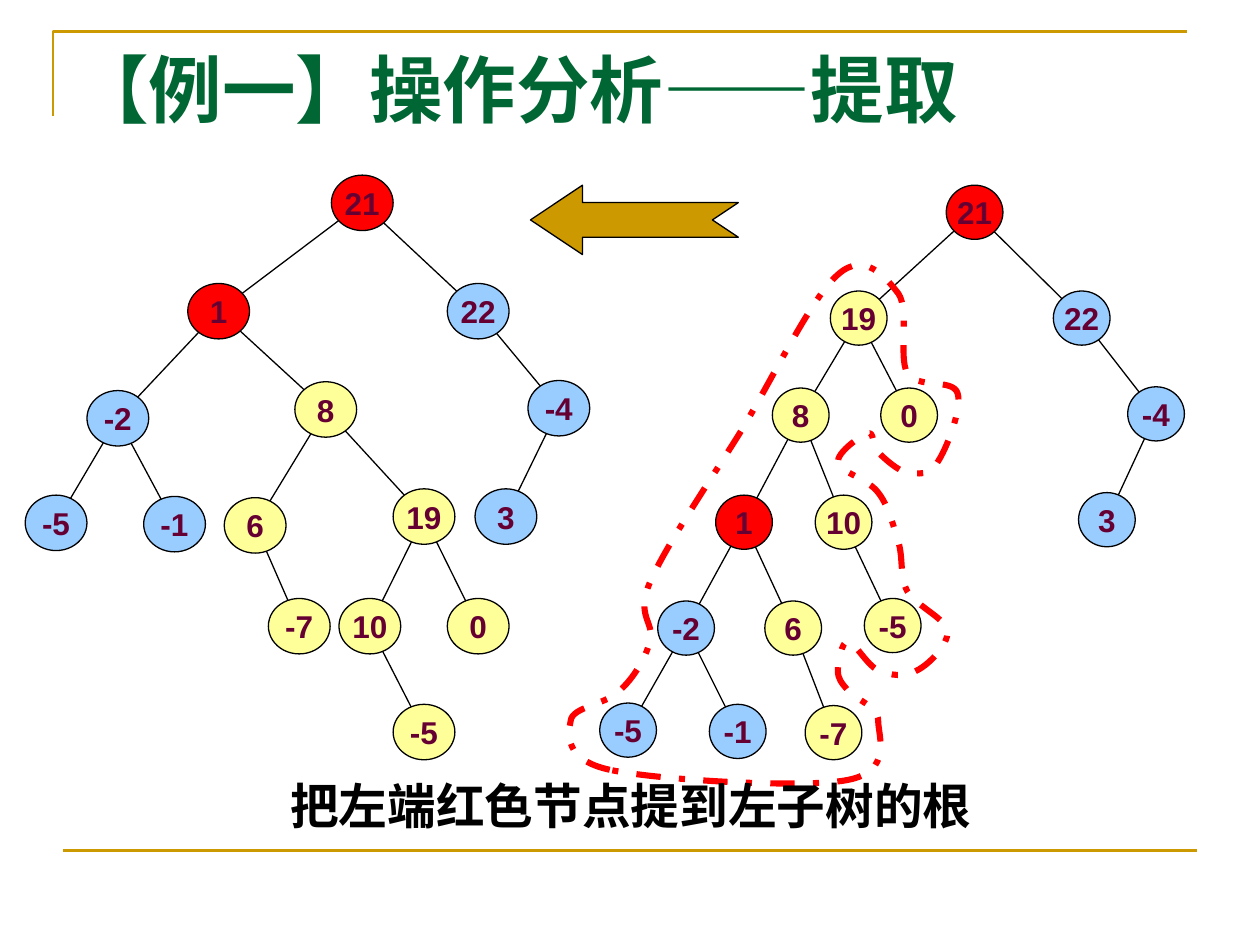
from dataclasses import dataclass
from typing import Any, Optional

import pptx
import pptx.dml.color
import pptx.enum.dml
import pptx.enum.shapes
import pptx.enum.text
import pptx.oxml
import pptx.oxml.ns
import pptx.util
from pptx.util import Inches

COLORS = {
    "gold": "CC9900", "green": "006633", "black": "000000", "plum": "660033",
    "red": "FF0000", "blue": "99CCFF", "yellow": "FFFF99",
}
SHAPE = pptx.enum.shapes.MSO_SHAPE
ALIGN = pptx.enum.text.PP_ALIGN
ANCHOR = pptx.enum.text.MSO_ANCHOR


@dataclass
class Node:
    label: str
    color: str
    left: float
    top: float
    parent: Optional[int] = None  # index of the parent in the tree's list


@dataclass
class Tree:
    width: float
    height: float
    nodes: list[Node]


BEFORE = Tree(0.45, 0.43, [
    Node("21", "red", 7.51, 1.47),
    Node("19", "yellow", 6.59, 2.31, 0),
    Node("22", "blue", 8.36, 2.31, 0),
    Node("8", "yellow", 6.13, 3.08, 1),
    Node("0", "yellow", 6.99, 3.08, 1),
    Node("-4", "blue", 8.95, 3.07, 2),
    Node("1", "red", 5.68, 3.93, 3),
    Node("10", "yellow", 6.47, 3.93, 3),
    Node("3", "blue", 8.56, 3.91, 5),
    Node("-2", "blue", 5.22, 4.77, 6),
    Node("6", "yellow", 6.07, 4.77, 6),
    Node("-5", "yellow", 6.86, 4.75, 7),
    Node("-5", "blue", 4.76, 5.58, 9),
    Node("-1", "blue", 5.63, 5.59, 9),
    Node("-7", "yellow", 6.39, 5.6, 10),
])
AFTER = Tree(0.49, 0.44, [
    Node("21", "red", 2.63, 1.39),
    Node("1", "red", 1.49, 2.25, 0),
    Node("22", "blue", 3.55, 2.25, 0),
    Node("-2", "blue", 0.69, 3.1, 1),
    Node("8", "yellow", 2.34, 3.03, 1),
    Node("-4", "blue", 4.19, 3.02, 2),
    Node("-5", "blue", 0.2, 3.93, 3),
    Node("-1", "blue", 1.14, 3.94, 3),
    Node("6", "yellow", 1.78, 3.95, 4),
    Node("19", "yellow", 3.12, 3.88, 4),
    Node("3", "blue", 3.77, 3.88, 5),
    Node("-7", "yellow", 2.13, 4.75, 8),
    Node("10", "yellow", 2.69, 4.75, 9),
    Node("0", "yellow", 3.55, 4.75, 9),
    Node("-5", "yellow", 3.12, 5.59, 12),
])
# Start point, then two control points and an end point for each curve.
SUBTREE_OUTLINE = [
    (4.84, 6.11),
    (4.47, 6.03), (4.51, 5.82), (4.53, 5.72),
    (4.54, 5.61), (4.82, 5.59), (4.92, 5.48),
    (5.03, 5.38), (5.12, 5.23), (5.16, 5.09),
    (5.2, 4.94), (5.04, 4.89), (5.16, 4.62),
    (5.28, 4.34), (5.62, 3.84), (5.87, 3.44),
    (6.12, 3.03), (6.44, 2.36), (6.65, 2.18),
    (6.86, 1.99), (7.03, 2.2), (7.13, 2.33),
    (7.22, 2.46), (7.13, 2.83), (7.2, 2.96),
    (7.28, 3.09), (7.56, 3), (7.6, 3.12),
    (7.64, 3.24), (7.51, 3.57), (7.44, 3.67),
    (7.38, 3.78), (7.28, 3.76), (7.2, 3.75),
    (7.13, 3.74), (7.02, 3.64), (6.97, 3.59),
    (6.92, 3.54), (6.94, 3.42), (6.89, 3.44),
    (6.84, 3.45), (6.64, 3.59), (6.65, 3.67),
    (6.67, 3.75), (6.89, 3.8), (6.97, 3.91),
    (7.05, 4.01), (7.09, 4.17), (7.13, 4.3),
    (7.17, 4.43), (7.14, 4.58), (7.2, 4.69),
    (7.27, 4.81), (7.51, 4.91), (7.52, 5.01),
    (7.53, 5.11), (7.38, 5.27), (7.28, 5.32),
    (7.19, 5.38), (7.06, 5.36), (6.97, 5.32),
    (6.88, 5.28), (6.78, 5.09), (6.73, 5.09),
    (6.68, 5.09), (6.65, 5.26), (6.65, 5.32),
    (6.65, 5.39), (6.68, 5.42), (6.73, 5.48),
    (6.78, 5.55), (6.97, 5.6), (6.97, 5.72),
    (6.97, 5.84), (7.09, 6.12), (6.73, 6.19),
    (6.38, 6.26), (5.21, 6.19), (4.84, 6.11),
]


def rgb(name: str) -> pptx.dml.color.RGBColor:
    return pptx.dml.color.RGBColor.from_string(COLORS[name])


def set_line(sp: Any, color: str, width: float) -> None:
    sp.line.color.rgb = rgb(color)
    sp.line.width = pptx.util.Pt(width)


def set_look(sp: Any, fill: Optional[str], line: str, width: float) -> None:
    sp.shadow.inherit = False
    if fill:
        sp.fill.solid()
        sp.fill.fore_color.rgb = rgb(fill)
    else:
        sp.fill.background()
    set_line(sp, line, width)


def add_line(shapes: Any, start: tuple, end: tuple, color: str, width: float) -> None:
    points = [Inches(v) for v in (*start, *end)]
    cx = shapes.add_connector(pptx.enum.shapes.MSO_CONNECTOR.STRAIGHT, *points)
    set_line(cx, color, width)
    cx._element.spPr.append(pptx.oxml.parse_xml(
        f'<a:effectLst {pptx.oxml.ns.nsdecls("a")}/>'))


def add_outline(shapes: Any, points: list, color: str, width: float, close: bool) -> Any:
    start, *rest = [(Inches(x), Inches(y)) for x, y in points]
    builder = shapes.build_freeform(*start)
    builder.add_line_segments(rest, close=close)
    sp = builder.convert_to_shape()
    set_look(sp, None, color, width)
    return sp


def bend(sp: Any) -> None:
    """Turn each three line segments of a freeform into one cubic curve."""
    qn = pptx.oxml.ns.qn
    segments = list(sp._element.iter(qn("a:lnTo")))
    for first in range(0, len(segments), 3):
        curve = pptx.oxml.parse_xml(f'<a:cubicBezTo {pptx.oxml.ns.nsdecls("a")}/>')
        segments[first].addprevious(curve)
        for segment in segments[first:first + 3]:
            curve.append(segment[0])
            segment.getparent().remove(segment)


def set_text(sp: Any, text: str, size: float, color: str, font: str = "Arial",
             wrap: bool = True, align: Any = ALIGN.CENTER, anchor: Any = ANCHOR.TOP) -> None:
    tf = sp.text_frame
    p = tf.paragraphs[0]
    r = p.add_run()
    formats = [
        (tf, {"word_wrap": wrap, "vertical_anchor": anchor}),
        (p, {"alignment": align}),
        (r, {"text": text}),
        (r.font, {"size": pptx.util.Pt(size), "name": font, "bold": True}),
        (r.font.color, {"rgb": rgb(color)}),
    ]
    for target, values in formats:
        for name, value in values.items():
            setattr(target, name, value)


def add_text(shapes: Any, box: tuple, *args: Any, **kwargs: Any) -> None:
    set_text(shapes.add_textbox(*map(Inches, box)), *args, **kwargs)


def add_tree(shapes: Any, tree: Tree) -> Any:
    """Draw edges between node centres, then the nodes over them."""
    group = shapes.add_group_shape().shapes
    centers = [(n.left + tree.width / 2, n.top + tree.height / 2) for n in tree.nodes]
    for node, center in zip(tree.nodes, centers):
        if node.parent is not None:
            add_line(group, centers[node.parent], center, "black", 0.75)
    for node in tree.nodes:
        box = (node.left, node.top, tree.width, tree.height)
        sp = group.add_shape(SHAPE.OVAL, *map(Inches, box))
        set_look(sp, node.color, "black", 0.75)
        set_text(sp, node.label, 18, "plum", wrap=False, anchor=ANCHOR.MIDDLE)
    return group


def main() -> None:
    prs = pptx.Presentation()
    prs.slide_width, prs.slide_height = Inches(10), Inches(7.5)
    shapes = prs.slides.add_slide(prs.slide_layouts[6]).shapes

    add_outline(shapes, [(0.42, 0.92), (0.42, 0.25), (9.42, 0.25)], "gold", 1.5, False)
    add_line(shapes, (0.5, 6.75), (9.5, 6.75), "gold", 1.5)

    before = add_tree(shapes, BEFORE)
    outline = add_outline(before, SUBTREE_OUTLINE, "red", 3.5, True)
    outline.line.dash_style = pptx.enum.dml.MSO_LINE.DASH_DOT
    bend(outline)

    arrow = shapes.add_shape(SHAPE.NOTCHED_RIGHT_ARROW, *map(Inches, (4.21, 1.47, 1.65, 0.55)))
    arrow.rotation = 180
    arrow.adjustments[1] = 0.75
    set_look(arrow, "gold", "black", 0.75)

    add_tree(shapes, AFTER)
    add_text(shapes, (0.5, 0.3, 9, 1.25), "【例一】操作分析——提取", 42, "green",
             font="Times New Roman", align=ALIGN.LEFT)
    add_text(shapes, (0.51, 6.11, 9, 0.59), "把左端红色节点提到左子树的根", 27.8, "black")
    prs.save("out.pptx")


if __name__ == "__main__":
    main()
